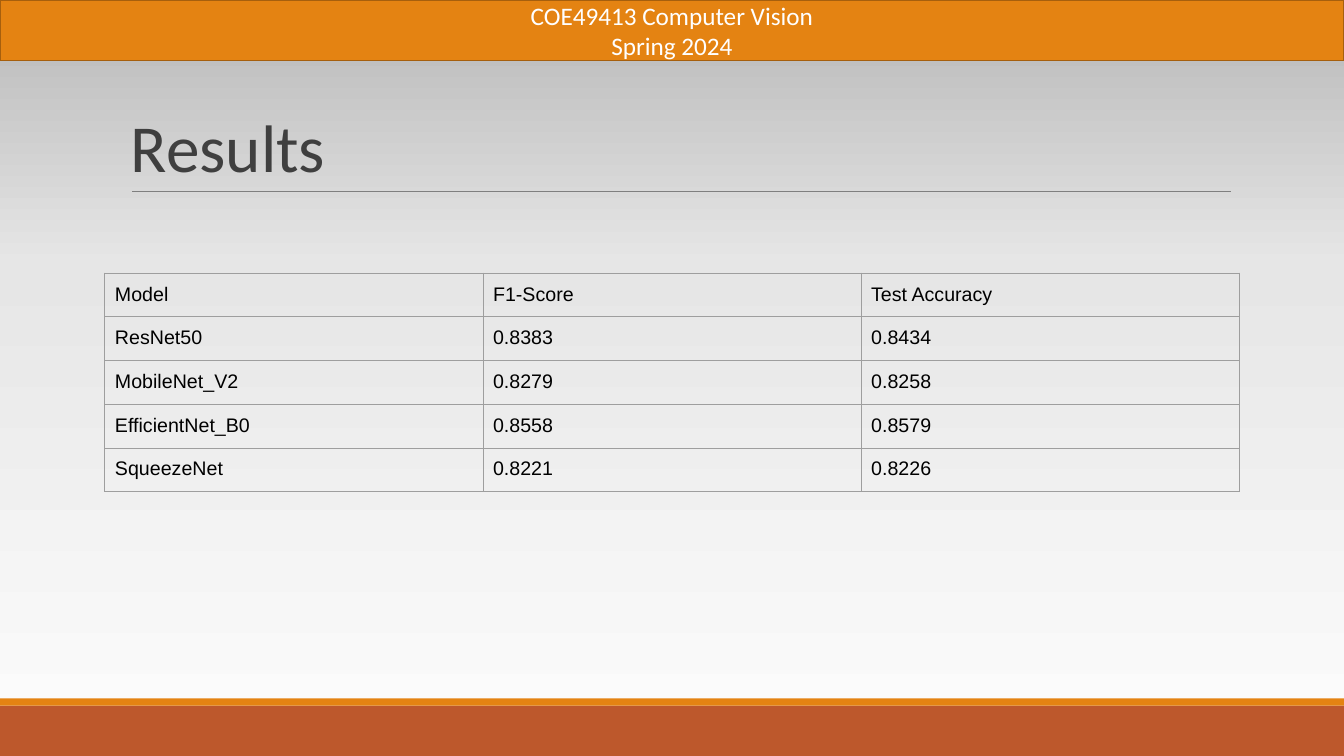
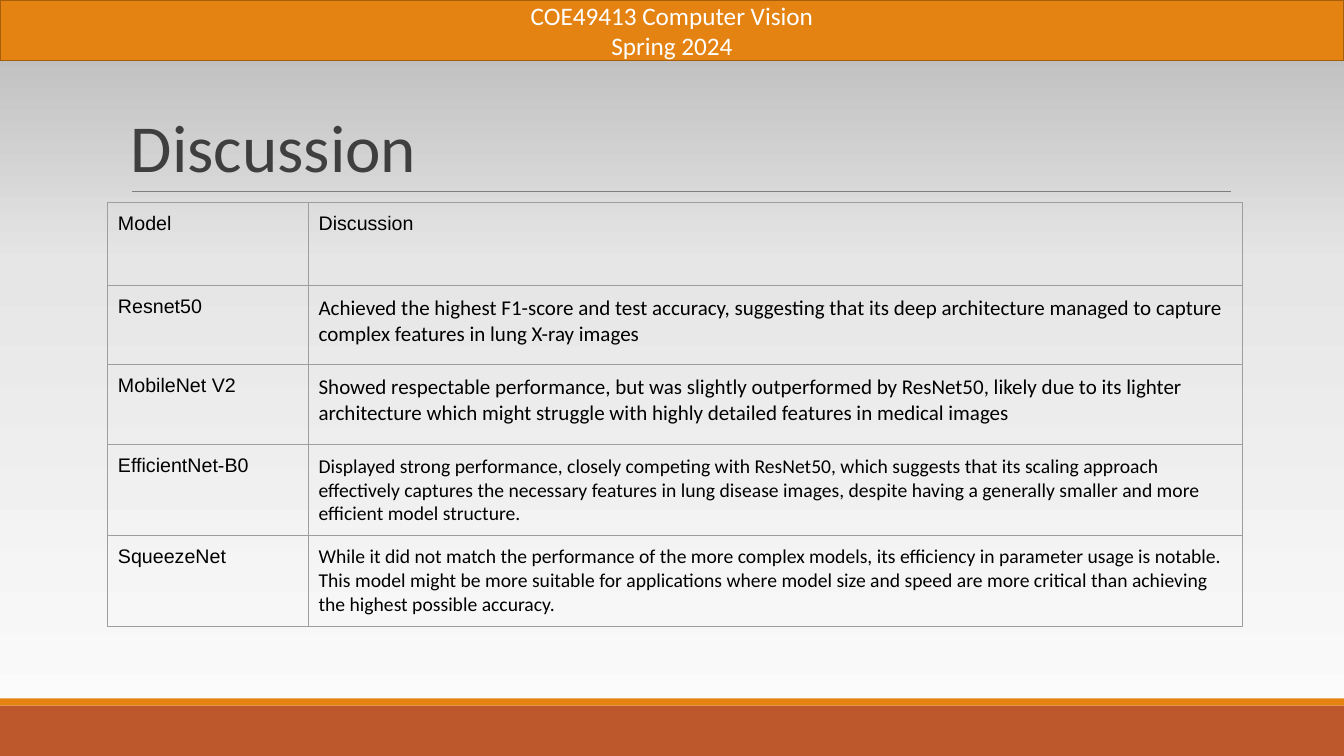
from copy import deepcopy

from lxml import etree
from pptx import Presentation
from pptx.dml import color
from pptx.enum import shapes, text
from pptx.oxml import ns
from pptx import util as u

# Slide size and shared measures, in inches
W, H = 13.33, 7.5
FOOTER_H = H / 15
STRIPE_H = 0.07
HEADER_H = H * 0.08
RULE_Y = 1.9
TABLE_W = 11.25
CELL_MARGIN = 0.1

# Shared colours and fonts
ORANGE, DARK_ORANGE, RUST = "E48312", "A65F0D", "BD582C"
TITLE_GREY, RULE_GREY, BORDER_GREY = "3F3F3F", "7F7F7F", "9E9E9E"
BLACK, WHITE = "000000", "FFFFFF"
BACKGROUND = [(0, "FDFDFD"), (0.65, "E6E6E6"), (1, "B6B6B6")]
BODY_FONT, LABEL_FONT = "Calibri", "Arial"

SCORES = [
    ["Model", "F1-Score", "Test Accuracy"],
    ["ResNet50", "0.8383", "0.8434"],
    ["MobileNet_V2", "0.8279", "0.8258"],
    ["EfficientNet_B0", "0.8558", "0.8579"],
    ["SqueezeNet", "0.8221", "0.8226"],
]
REMARKS = [
    ["Model", "Discussion"],
    ["Resnet50",
     "Achieved the highest F1-score and test accuracy, suggesting that its deep "
     "architecture managed to capture complex features in lung X-ray images"],
    ["MobileNet V2",
     "Showed respectable performance, but was slightly outperformed by ResNet50, "
     "likely due to its lighter architecture which might struggle with highly "
     "detailed features in medical images"],
    ["EfficientNet-B0",
     "Displayed strong performance, closely competing with ResNet50, which suggests "
     "that its scaling approach effectively captures the necessary features in lung "
     "disease images, despite having a generally smaller and more efficient model "
     "structure."],
    ["SqueezeNet",
     "While it did not match the performance of the more complex models, its "
     "efficiency in parameter usage is notable. This model might be more suitable "
     "for applications where model size and speed are more critical than achieving "
     "the highest possible accuracy."],
]
# Sizes of the remarks, by table row
REMARK_SIZES = {1: 15, 2: 15, 3: 14, 4: 14}


def rgb(value):
    return color.RGBColor.from_string(value)


def inches(*lengths):
    return [u.Inches(length) for length in lengths]


def style_text(frame, size, font, ink, align=text.PP_ALIGN.LEFT):
    for paragraph in frame.paragraphs:
        paragraph.alignment = align
        for run in paragraph.runs:
            run.font.size = u.Pt(size)
            run.font.name = font
            run.font.color.rgb = rgb(ink)


def paint_background(master):
    fill = master.background.fill
    fill.gradient()
    stops = master.element.find(".//" + ns.qn("a:gsLst"))
    stops.append(deepcopy(stops[-1]))
    for stop, (position, tint) in zip(fill.gradient_stops, BACKGROUND):
        stop.position = position
        stop.color.rgb = rgb(tint)
    fill.gradient_angle = 90


def add_band(slide, top, height, fill, outline=None):
    """Add a band across the full width of the slide."""
    band = slide.shapes.add_shape(
        shapes.MSO_SHAPE.RECTANGLE, *inches(0, top, W, height))
    band.shadow.inherit = False
    band.fill.solid()
    band.fill.fore_color.rgb = rgb(fill)
    if outline:
        band.line.color.rgb = rgb(outline)
        band.line.width = u.Pt(1.25)
    else:
        band.line.fill.background()
    return band


def add_rule(slide, left, right, y):
    rule = slide.shapes.add_connector(
        shapes.MSO_CONNECTOR.STRAIGHT, *inches(left, y, right, y))
    rule.line.color.rgb = rgb(RULE_GREY)
    rule.line.width = u.Pt(0.75)
    etree.SubElement(rule.element.spPr, ns.qn("a:effectLst"))


def add_title(slide, wording):
    title = slide.shapes.add_textbox(*inches(1.2, 0.31, 11, RULE_Y - 0.31))
    frame = title.text_frame
    frame.word_wrap = True
    frame.vertical_anchor = text.MSO_ANCHOR.BOTTOM
    frame.text = wording
    frame.paragraphs[0].line_spacing = 0.85
    style_text(frame, 48, BODY_FONT, TITLE_GREY)


def add_titled_slide(prs, wording):
    slide = prs.slides.add_slide(prs.slide_layouts[6])
    # Footer bands and title rule
    add_band(slide, H - FOOTER_H, FOOTER_H, RUST)
    add_band(slide, H - FOOTER_H - STRIPE_H, STRIPE_H, ORANGE)
    add_rule(slide, 1.31, 12.21, RULE_Y)
    # Course header
    header = add_band(slide, 0, HEADER_H, ORANGE, DARK_ORANGE).text_frame
    header.vertical_anchor = text.MSO_ANCHOR.MIDDLE
    header.text = "COE49413 Computer Vision\nSpring 2024"
    style_text(header, 18, BODY_FONT, WHITE, text.PP_ALIGN.CENTER)
    add_title(slide, wording)
    return slide


def outline_cell(cell):
    """Draw the four borders; they must come before the fill in the XML."""
    properties = cell._tc.get_or_add_tcPr()
    for index, side in enumerate(("lnL", "lnR", "lnT", "lnB")):
        border = etree.Element(ns.qn("a:" + side), w=str(u.Pt(0.75)))
        solid = etree.SubElement(border, ns.qn("a:solidFill"))
        etree.SubElement(solid, ns.qn("a:srgbClr"), val=BORDER_GREY)
        properties.insert(index, border)


def add_grid(slide, left, top, shares, heights, rows, body_sizes=None):
    """Add a table; body_sizes gives rows whose last cell is body text."""
    body_sizes = body_sizes or {}
    table = slide.shapes.add_table(
        len(rows), len(shares), *inches(left, top, TABLE_W, sum(heights))).table
    table.first_row = table.horz_banding = False
    for column, share in zip(table.columns, shares):
        column.width = u.Inches(TABLE_W * share / sum(shares))
    for r, (row, height) in enumerate(zip(rows, heights)):
        table.rows[r].height = u.Inches(height)
        for c, wording in enumerate(row):
            cell = table.cell(r, c)
            cell.fill.background()
            outline_cell(cell)
            cell.margin_left = cell.margin_right = u.Inches(CELL_MARGIN)
            cell.margin_top = cell.margin_bottom = u.Inches(CELL_MARGIN)
            cell.text_frame.text = wording
            is_body = r in body_sizes and c == len(row) - 1
            style_text(cell.text_frame, body_sizes[r] if is_body else 14,
                       BODY_FONT if is_body else LABEL_FONT, BLACK)


def main():
    prs = Presentation()
    prs.slide_width, prs.slide_height = inches(W, H)
    paint_background(prs.slide_master)

    # Scores of the models
    results = add_titled_slide(prs, "Results")
    add_grid(results, 1.04, 2.71, [1, 1, 1], [0.42] * len(SCORES), SCORES)

    # Remarks on the models
    discussion = add_titled_slide(prs, "Discussion")
    add_grid(discussion, 1.07, 2.01, [1.99, 9.26], [0.82] + [0.79] * 4,
             REMARKS, REMARK_SIZES)

    prs.save("out.pptx")


if __name__ == "__main__":
    main()
